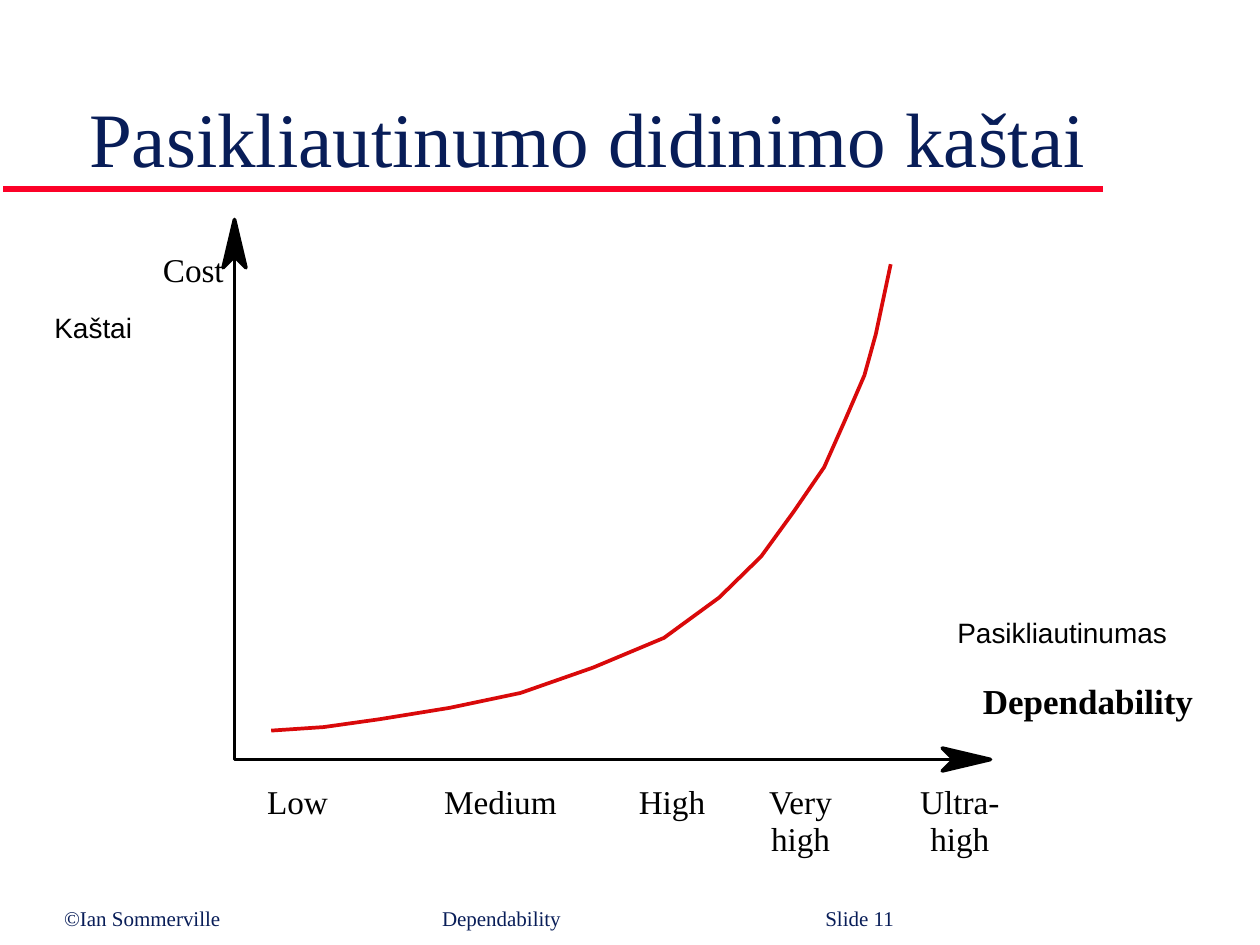
from pptx import Presentation
from pptx.dml.color import RGBColor
from pptx.enum import shapes, text
from pptx.oxml.ns import qn
from pptx.util import Pt
from lxml import etree

# Content
TITLE = "Pasikliautinumo didinimo kaštai"
FOOTER = "©Ian Sommerville\tDependability\tSlide 11"
FOOTER_TABS = (216, 435)
NAVY, RED, CURVE_RED, BLACK = "081D58", "FC0128", "D9090A", "000000"
SERIF, SANS = "Times New Roman", "Arial"

LEVELS = [  # label lines, centre x
    (["Low"], 170), (["Medium"], 286), (["High"], 384),
    (["Very", "high"], 457.5), (["Ultra-", "high"], 548.5),
]
COST_CURVE = [
    (155, 417.5), (185, 415.5), (217, 411), (257, 404.5), (297.5, 396),
    (339, 381.5), (379.5, 364.5), (411, 341.5), (435, 318), (453.5, 292.5),
    (471, 267), (483, 240), (494, 214.5), (500.5, 191), (509, 151),
]
ORIGIN = (134, 434)
COST_TIP, DEPENDABILITY_TIP = (134, 125.5), (566, 434)
HEAD_LENGTH, HEAD_NOTCH, HEAD_HALF_WIDTH = 27.5, 21, 6.5
LEVEL_TOP, LEVEL_WIDTH, LINE_HEIGHT = 448.5, 80, 21
AXIS_FONT = {"size": Pt(19), "name": SERIF}


def colour(hex_string):
    return RGBColor.from_string(hex_string)


def write(shape, lines, font, ink=BLACK, align=text.PP_ALIGN.LEFT,
          anchor=text.MSO_ANCHOR.TOP, inset=(7.2, 3.6), wrap=True,
          spacing=None, tabs=()):
    frame = shape.text_frame
    side, top = map(Pt, inset)
    frame_format = {"margin_left": side, "margin_right": side,
                    "margin_top": top, "margin_bottom": top,
                    "word_wrap": wrap, "vertical_anchor": anchor,
                    "auto_size": text.MSO_AUTO_SIZE.NONE}
    for key, value in frame_format.items():
        setattr(frame, key, value)
    frame.text = "\n".join(lines)
    for paragraph in frame.paragraphs:
        paragraph.alignment = align
        if spacing:
            paragraph.line_spacing = Pt(spacing)
        if tabs:
            stops = etree.SubElement(paragraph._p.get_or_add_pPr(), qn("a:tabLst"))
            for stop in tabs:
                etree.SubElement(stops, qn("a:tab"), pos=str(Pt(stop)), algn="l")
        for run in paragraph.runs:
            for key, value in font.items():
                setattr(run.font, key, value)
            run.font.color.rgb = colour(ink)


def add_label(slide, box, lines, font, **options):
    write(slide.shapes.add_textbox(*map(Pt, box)), lines, font, **options)


def add_path(slide, points, ink, closed=False):
    points = [(Pt(x), Pt(y)) for x, y in points]
    builder = slide.shapes.build_freeform(*points[0])
    builder.add_line_segments(points[1:], close=closed)
    path = builder.convert_to_shape()
    path.shadow.inherit = False
    path.line.color.rgb = colour(ink)
    path.line.width = Pt(2.13)
    if closed:
        path.fill.solid()
        path.fill.fore_color.rgb = colour(ink)
    else:
        path.fill.background()


def add_arrowhead(slide, tip, direction):
    x, y = tip
    dx, dy = direction

    def corner(back, across):
        return x - back * dx - across * dy, y - back * dy + across * dx

    add_path(slide, [corner(HEAD_NOTCH, 0), corner(HEAD_LENGTH, HEAD_HALF_WIDTH),
                     tip, corner(HEAD_LENGTH, -HEAD_HALF_WIDTH)], BLACK, closed=True)


def main():
    deck = Presentation()
    deck.slide_width, deck.slide_height = Pt(720), Pt(540)
    slide = deck.slides.add_slide(deck.slide_layouts[5])

    # Title, rule below it and footer
    rule = slide.shapes.add_connector(shapes.MSO_CONNECTOR.STRAIGHT,
                                      Pt(2), Pt(108), Pt(630), Pt(108))
    rule.line.color.rgb = colour(RED)
    rule.line.width = Pt(4)
    etree.SubElement(rule._element.spPr, qn("a:effectLst"))

    title = slide.shapes.title
    title.left, title.top, title.width, title.height = map(Pt, (30, 21, 612, 87))
    write(title, [TITLE], {"size": Pt(44), "name": SERIF}, ink=NAVY,
          align=text.PP_ALIGN.CENTER, anchor=text.MSO_ANCHOR.BOTTOM)
    add_label(slide, (29.5, 514, 530, 21.5), [FOOTER],
              {"size": Pt(12), "name": SERIF}, ink=NAVY, tabs=FOOTER_TABS)

    # Axes, stopping short of the arrow tips
    add_arrowhead(slide, COST_TIP, (0, -1))
    add_path(slide, [(COST_TIP[0], COST_TIP[1] + 10.5), ORIGIN,
                     (DEPENDABILITY_TIP[0] - 10.5, DEPENDABILITY_TIP[1])], BLACK)
    add_arrowhead(slide, DEPENDABILITY_TIP, (1, 0))

    # Cost label and dependability levels
    axis_labels = [(["Cost"], 110.5, 144)]
    axis_labels += [(lines, centre, LEVEL_TOP) for lines, centre in LEVELS]
    for lines, centre, top in axis_labels:
        box = (centre - LEVEL_WIDTH / 2, top, LEVEL_WIDTH, LINE_HEIGHT * len(lines) + 2)
        add_label(slide, box, lines, AXIS_FONT, align=text.PP_ALIGN.CENTER,
                  inset=(0, 0), spacing=LINE_HEIGHT)

    # Cost curve and axis names
    add_path(slide, COST_CURVE, CURVE_RED)
    add_label(slide, (554.5, 385, 134.5, 31), ["Dependability"],
              {"size": Pt(20), "name": SERIF, "bold": True}, wrap=False)
    for name, box in [("Kaštai", (24, 174, 90, 26.5)),
                      ("Pasikliautinumas", (540, 348, 156, 26.5))]:
        add_label(slide, box, [name], {"size": Pt(16), "name": SANS})

    deck.save("out.pptx")


if __name__ == "__main__":
    main()
